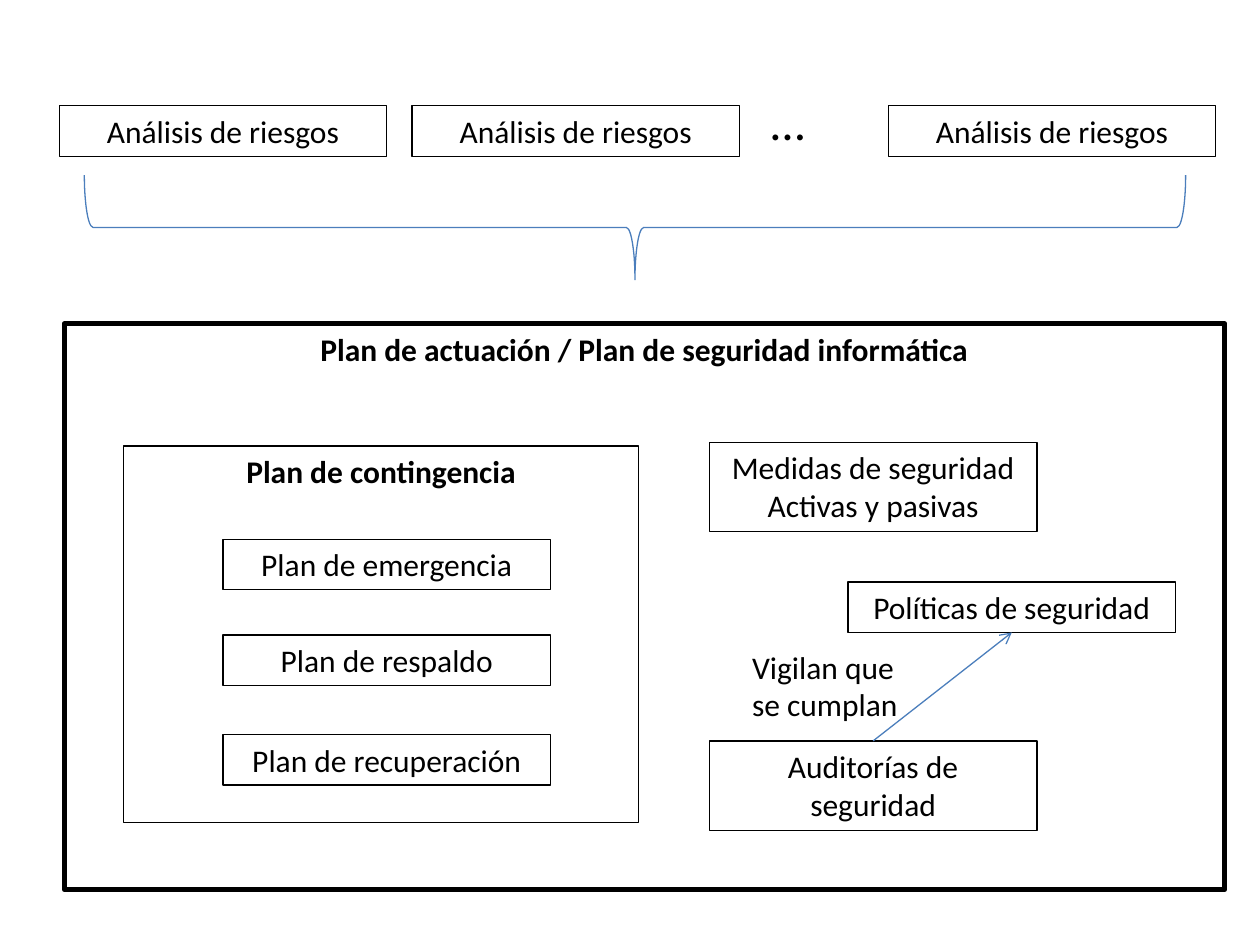
from lxml.etree import SubElement
from pptx import Presentation
from pptx.dml.color import RGBColor
from pptx.enum.shapes import MSO_CONNECTOR, MSO_SHAPE
from pptx.enum.text import MSO_ANCHOR, PP_ALIGN
from pptx.oxml.ns import qn
from pptx.util import Inches, Pt

BLACK = RGBColor(0x00, 0x00, 0x00)
BLUE = RGBColor(0x4B, 0x7E, 0xBC)
FONT = "Calibri"
BOX_W, BOX_H, TALL_H = 2.6, 0.4, 0.71


def write(sp, lines, size=18, bold=False, align=PP_ALIGN.CENTER):
    """Fill a shape with one paragraph for each line."""
    tf = sp.text_frame
    tf.word_wrap = True
    tf.vertical_anchor = MSO_ANCHOR.TOP
    for i, line in enumerate(lines):
        p = tf.paragraphs[0] if i == 0 else tf.add_paragraph()
        p.alignment = align
        r = p.add_run()
        r.text = line
        r.font.name = FONT
        r.font.size = Pt(size)
        r.font.bold = bold
        r.font.color.rgb = BLACK


def add_outline(s, shape, x, y, w, h, color=BLACK, weight=0.75):
    """Add an unfilled preset shape."""
    sp = s.shapes.add_shape(shape, Inches(x), Inches(y), Inches(w), Inches(h))
    sp.shadow.inherit = False
    sp.fill.background()
    sp.line.color.rgb = color
    sp.line.width = Pt(weight)
    return sp


def add_box(s, x, y, *lines, w=BOX_W, h=BOX_H, weight=0.75, bold=False):
    """Add an outlined box with centred text at its top."""
    sp = add_outline(s, MSO_SHAPE.RECTANGLE, x, y, w, h, weight=weight)
    write(sp, lines, bold=bold)
    return sp


def add_label(s, x, y, w, h, text, size=18):
    """Add a free left-aligned label."""
    sp = s.shapes.add_textbox(Inches(x), Inches(y), Inches(w), Inches(h))
    write(sp, [text], size=size, align=PP_ALIGN.LEFT)


def add_arrow(s, start, end):
    """Join the top of one box to the bottom of another."""
    cn = s.shapes.add_connector(MSO_CONNECTOR.STRAIGHT, 0, 0, 0, 0)
    cn.begin_connect(start, 0)
    cn.end_connect(end, 2)
    cn.line.color.rgb = BLUE
    cn.line.width = Pt(0.75)
    SubElement(cn.line._get_or_add_ln(), qn("a:tailEnd"), type="arrow")
    SubElement(cn._element.spPr, qn("a:effectLst"))


def add_analyses(s, x, y):
    """Place the row of risk analyses and the brace under it."""
    for dx in (0, 2.8, 6.58):
        add_box(s, x + dx, y, "Análisis de riesgos")
    add_label(s, x + 5.55, y - 0.16, 0.79, 0.57, "…", size=28)
    span, depth = 8.74, 0.83
    left, top = x + 0.2, y + 0.55
    brace = add_outline(s, MSO_SHAPE.LEFT_BRACE, left + (span - depth) / 2,
                        top - (span - depth) / 2, depth, span, BLUE)
    brace.rotation = 270


def add_contingency(s, x, y, w, h):
    """Place the contingency plan with its three plans."""
    add_box(s, x, y, "Plan de contingencia", w=w, h=h, bold=True)
    plans = ("emergencia", "respaldo", "recuperación")
    for dy, plan in zip((0.74, 1.5, 2.29), plans):
        add_box(s, x + 0.79, y + dy, f"Plan de {plan}")


def add_security(s, x, y):
    """Place the measures, policies and audits."""
    add_box(s, x, y, "Medidas de seguridad", "Activas y pasivas", h=TALL_H)
    policies = add_box(s, x + 1.1, y + 1.11, "Políticas de seguridad")
    audits = add_box(s, x, y + 2.37, "Auditorías de seguridad", h=TALL_H)
    add_arrow(s, audits, policies)
    add_label(s, x + 0.24, y + 1.58, 1.42, TALL_H, "Vigilan que se cumplan")


def add_action_plan(s, x, y, w, h):
    """Place the action plan frame and its contents."""
    add_box(s, x, y, "Plan de actuación / Plan de seguridad informática",
            w=w, h=h, weight=3, bold=True)
    add_contingency(s, x + 0.47, y + 0.97, 4.09, 2.99)
    add_security(s, x + 5.12, y + 0.94)


prs = Presentation()
prs.slide_width, prs.slide_height = Inches(10), Inches(7.5)
s = prs.slides.add_slide(prs.slide_layouts[6])
add_analyses(s, 0.47, 0.84)
add_action_plan(s, 0.51, 2.57, 9.21, 4.49)
prs.save("out.pptx")
